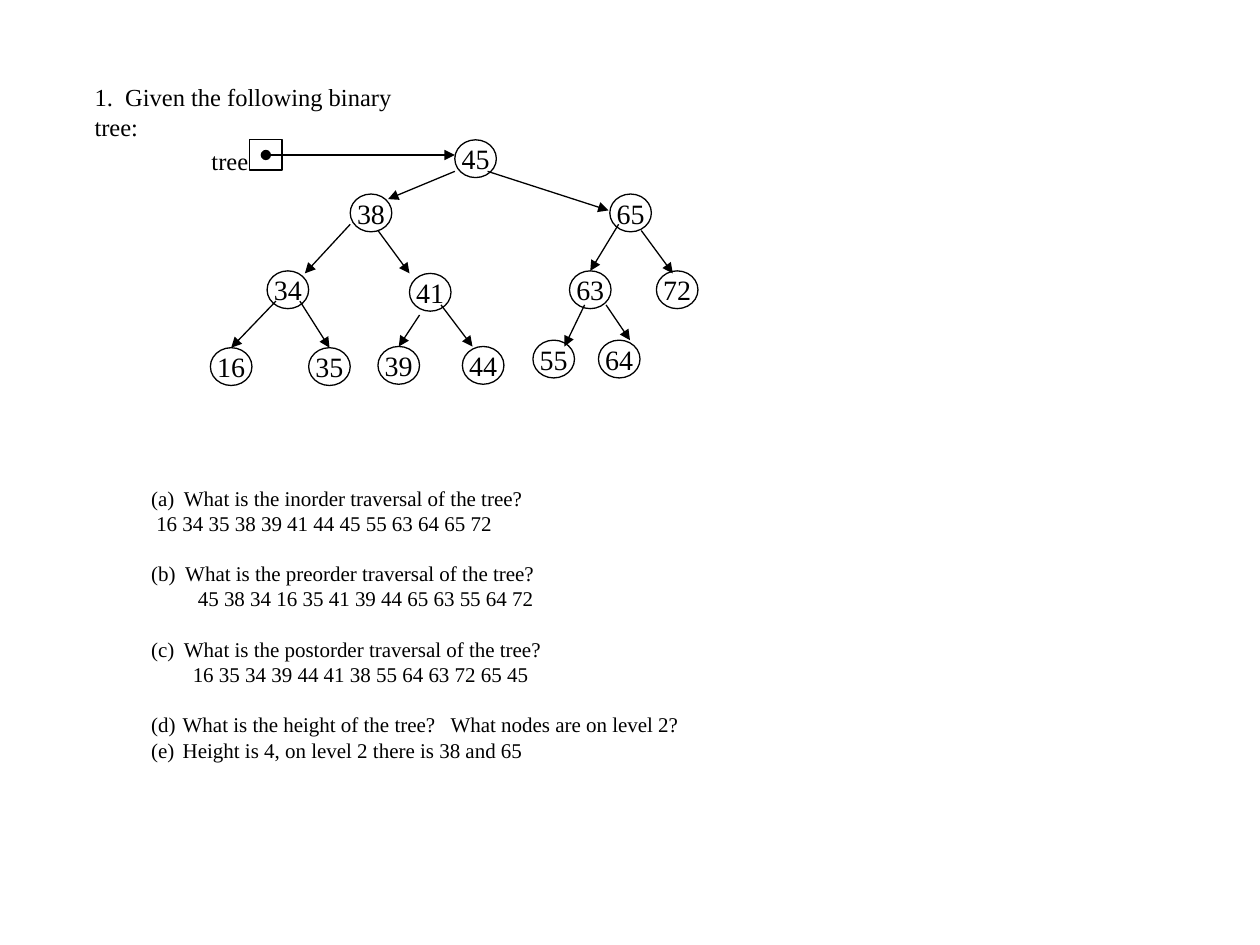
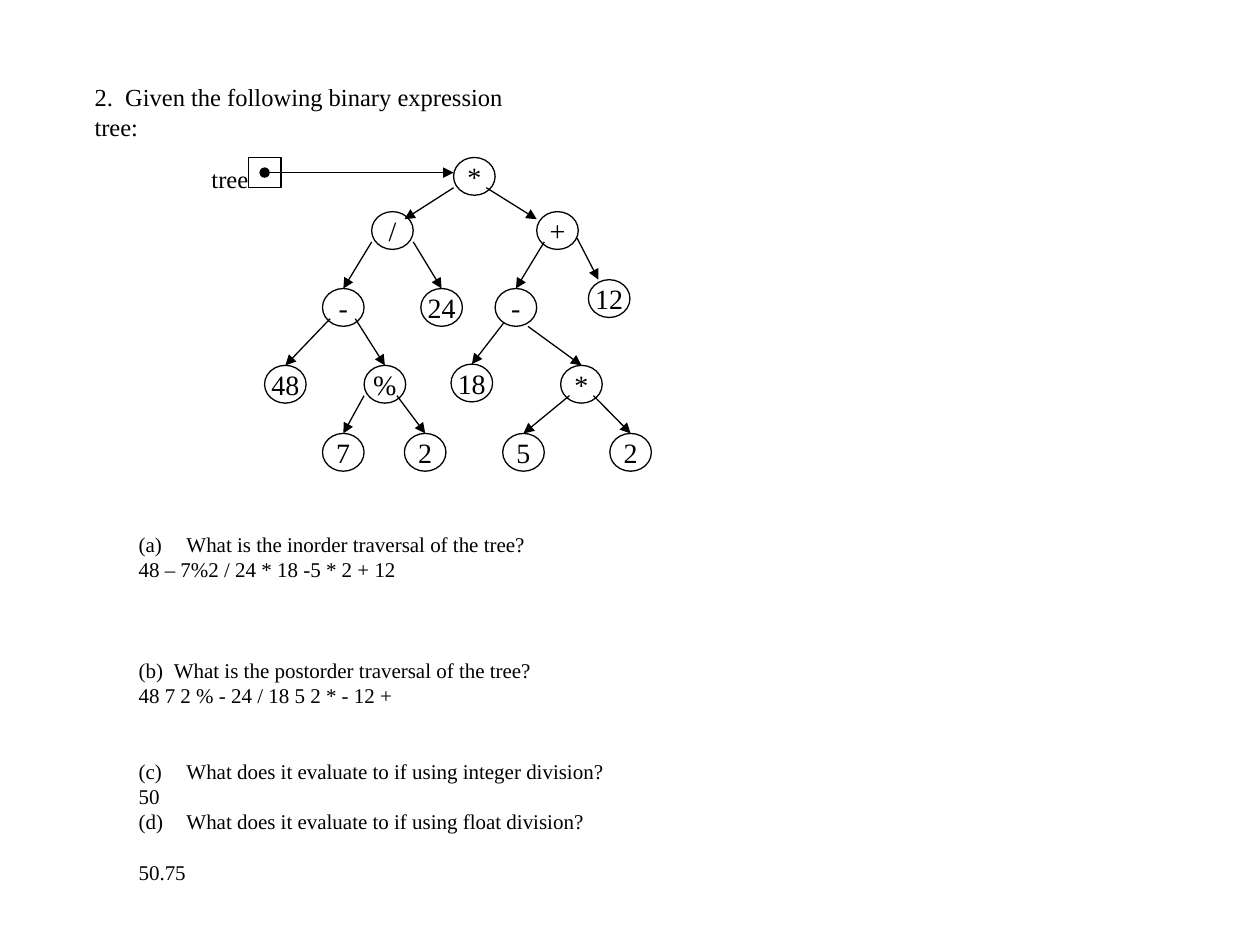
from dataclasses import dataclass

from lxml.etree import SubElement
from pptx import Presentation
from pptx.dml.color import RGBColor
from pptx.enum.shapes import MSO_CONNECTOR as Connector, MSO_SHAPE as Shape
from pptx.enum.text import MSO_ANCHOR as Anchor, MSO_AUTO_SIZE as AutoSize, PP_ALIGN as Align
from pptx.oxml.ns import qn
from pptx.util import Emu, Pt

PX = 9144
TITLE_AND_CONTENT = 1
TOP_SIDE = 0


@dataclass(frozen=True)
class Theme:
    font: str = "Times New Roman"
    ink: RGBColor = RGBColor(0, 0, 0)
    paper: RGBColor = RGBColor(255, 255, 255)
    title: int = 14
    body: int = 12
    node: int = 16
    title_line: float = 17
    body_line: float = 14.4
    stroke: float = 0.75
    node_width: int = 33
    node_height: int = 30


@dataclass(frozen=True)
class Node:
    label: str
    left: int
    top: int
    start: tuple = None
    tip: tuple = None


@dataclass(frozen=True)
class Line:
    text: str
    number: int = 0
    indent: int = 0
    blank_lines: int = 0


THEME = Theme()

SEARCH_TREE = [
    Node("45", 361, 111),
    Node("38", 278, 154, (361, 136), (308, 158)),
    Node("65", 484, 154, (387, 136), (483, 167)),
    Node("34", 212, 215, (278, 178), (242, 217)),
    Node("41", 325, 217, (300, 183), (325, 217)),
    Node("63", 452, 215, (491, 178)),
    Node("72", 521, 215, (509, 183), (534, 217)),
    Node("16", 167, 276, (219, 239)),
    Node("35", 245, 276, (238, 239)),
    Node("39", 300, 275, (333, 250)),
    Node("44", 367, 275, (350, 242), (375, 275)),
    Node("55", 423, 270, (464, 242), (448, 275)),
    Node("64", 475, 270, (481, 242), (500, 270)),
]

EXPRESSION_TREE = [
    Node("*", 360, 125),
    Node("/", 295, 168, (360, 149), (321, 174)),
    Node("+", 426, 168, (386, 149), (426, 174)),
    Node("-", 256, 229, (295, 192)),
    Node("24", 334, 229, (328, 192)),
    Node("-", 393, 229, (432, 192)),
    Node("12", 467, 222, (458, 189), (475, 222)),
    Node("48", 210, 290, (262, 253)),
    Node("%", 289, 290, (282, 253)),
    Node("18", 358, 289, (400, 256)),
    Node("*", 445, 290, (419, 259)),
    Node("7", 256, 344, (289, 314)),
    Node("2", 321, 344, (315, 314)),
    Node("5", 399, 344, (452, 314)),
    Node("2", 484, 344, (471, 314)),
]

SEARCH_QUESTIONS = [
    Line("What is the inorder traversal of the tree?", number=1, indent=26),
    Line("16 34 35 38 39 41 44 45 55 63 64 65 72", indent=4),
    Line("What is the preorder traversal of the tree?", number=2, indent=27, blank_lines=1),
    Line("45 38 34 16 35 41 39 44 65 63 55 64 72", indent=37),
    Line("What is the postorder traversal of the tree?", number=3, indent=26, blank_lines=1),
    Line("16 35 34 39 44 41 38 55 64 63 72 65 45", indent=33),
    Line("What is the height of the tree?   What nodes are on level 2?",
         number=4, indent=25, blank_lines=1),
    Line("Height is 4, on level 2 there is 38 and 65", number=4, indent=25),
]

EXPRESSION_QUESTIONS = [
    Line("What is the inorder traversal of the tree?", number=1, indent=38),
    Line("48 – 7%2 / 24 * 18 -5 * 2 + 12"),
    Line("What is the postorder traversal of the tree?", number=2, indent=28, blank_lines=3),
    Line("48 7 2 % - 24 / 18 5 2 * - 12 +"),
    Line("What does it evaluate to if using integer division?",
         number=3, indent=38, blank_lines=2),
    Line("50"),
    Line("What does it evaluate to if using float division?", number=4, indent=38),
    Line("50.75", blank_lines=1),
]


def px(*lengths):
    return [Emu(length * PX) for length in lengths]


def write(para, text, *, size, align=Align.LEFT, line=None, before=0):
    para.alignment = align
    para.space_before = Pt(before)
    para.space_after = Pt(0)
    if line:
        para.line_spacing = Pt(line)
    span = para.add_run()
    span.text = text
    span.font.name = THEME.font
    span.font.size = Pt(size)
    span.font.bold = False
    span.font.color.rgb = THEME.ink


def set_frame(box, *, wrap, anchor=Anchor.TOP):
    frame = box.text_frame
    frame.auto_size = AutoSize.NONE
    frame.word_wrap = wrap
    frame.vertical_anchor = anchor
    return frame


def place(box, left, top, width, height):
    box.left, box.top, box.width, box.height = px(left, top, width, height)


def set_list_format(para, line):
    properties = para._p.get_or_add_pPr()
    indent = line.indent * PX
    properties.set("marL", str(indent))
    properties.set("indent", str(-indent if line.number else 0))
    if line.number:
        SubElement(properties, qn("a:buFont"), typeface=THEME.font)
        SubElement(properties, qn("a:buAutoNum"), type="alphaLcParenBoth",
                   startAt=str(line.number))
    else:
        SubElement(properties, qn("a:buNone"))


def add_title(page, text, width):
    box = page.shapes.title
    place(box, 65, 60, width, 56)
    frame = set_frame(box, wrap=True)
    write(frame.paragraphs[0], text, size=THEME.title, line=THEME.title_line)


def add_questions(page, lines, area):
    box = page.placeholders[1]
    place(box, *area)
    frame = set_frame(box, wrap=True)
    for index, line in enumerate(lines):
        para = frame.add_paragraph() if index else frame.paragraphs[0]
        write(para, line.text, size=THEME.body, line=THEME.body_line,
              before=line.blank_lines * THEME.body_line)
        set_list_format(para, line)


def add_outline(page, kind, left, top, width, height):
    box = page.shapes.add_shape(kind, *px(left, top, width, height))
    box.shadow.inherit = False
    box.fill.background()
    box.line.color.rgb = THEME.ink
    box.line.width = Pt(THEME.stroke)
    return box


def add_arrow(page, start, tip, head=None):
    arrow = page.shapes.add_connector(Connector.STRAIGHT, *px(*start, *tip))
    arrow.line.color.rgb = THEME.ink
    arrow.line.width = Pt(THEME.stroke)
    outline = arrow.line._get_or_add_ln()
    if head:
        SubElement(outline, qn("a:headEnd"), type=head)
    SubElement(outline, qn("a:tailEnd"), type="triangle")
    SubElement(arrow._element.spPr, qn("a:effectLst"))
    return arrow


def add_node(page, node):
    box = add_outline(page, Shape.OVAL, node.left, node.top,
                      THEME.node_width, THEME.node_height)
    frame = set_frame(box, wrap=False, anchor=Anchor.MIDDLE)
    write(frame.paragraphs[0], node.label, size=THEME.node, align=Align.CENTER)
    if node.start:
        arrow = add_arrow(page, node.start, node.tip or (node.left, node.top))
        if not node.tip:
            arrow.end_connect(box, TOP_SIDE)


def add_tree_pointer(page, root):
    add_outline(page, Shape.RECTANGLE, root.left - 163, root.top, 26, 24)
    label = page.shapes.add_textbox(*px(158, root.top, 49, 33))
    frame = set_frame(label, wrap=False)
    write(frame.paragraphs[0], "tree", size=THEME.title)
    middle = root.top + 12
    add_arrow(page, (root.left - 150, middle), (root.left, middle), head="oval")


def add_tree_page(deck, title, title_width, nodes, questions, area):
    page = deck.slides.add_slide(deck.slide_layouts[TITLE_AND_CONTENT])
    page.background.fill.solid()
    page.background.fill.fore_color.rgb = THEME.paper
    add_title(page, title, title_width)
    add_questions(page, questions, area)
    for node in nodes:
        add_node(page, node)
    add_tree_pointer(page, nodes[0])


def main():
    deck = Presentation()
    deck.slide_width, deck.slide_height = px(1000, 750)
    add_tree_page(deck, "1.  Given the following binary tree:", 295,
                  SEARCH_TREE, SEARCH_QUESTIONS, (110, 380, 445, 252))
    add_tree_page(deck, "2.  Given the following binary expression tree:", 383,
                  EXPRESSION_TREE, EXPRESSION_QUESTIONS, (100, 417, 394, 313))
    deck.save("out.pptx")


if __name__ == "__main__":
    main()
